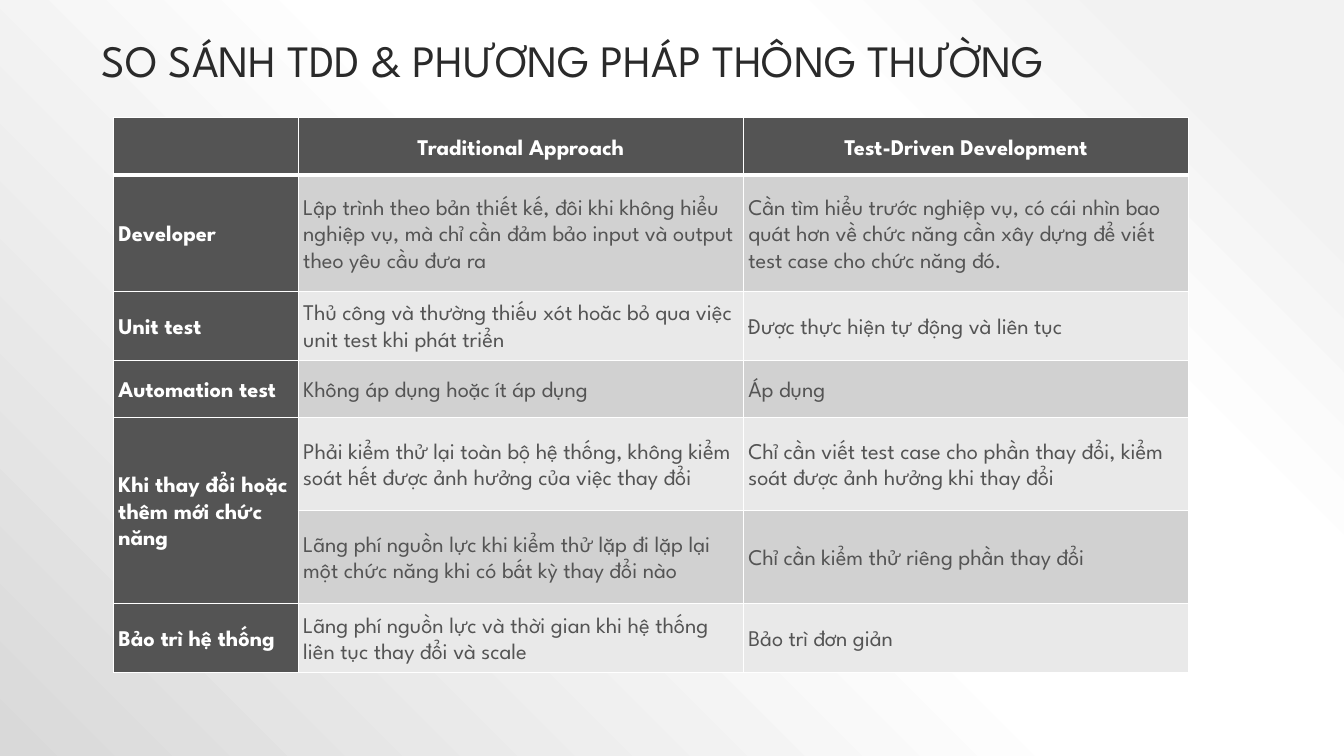
import pptx
import pptx.dml.color
import pptx.enum.text
import pptx.oxml
import pptx.oxml.ns
import pptx.util

Pt = pptx.util.Pt
ALIGN = pptx.enum.text.PP_ALIGN
ANCHOR = pptx.enum.text.MSO_ANCHOR
NAMESPACE = pptx.oxml.ns.nsdecls("a")

DARK, WHITE, INK = "545454", "FFFFFF", "2A2A2A"
BANDS = ("E9E9E9", "D1D1D1")
COLUMN_WIDTHS = (132, 318, 318)
ROW_HEIGHTS = (41, 82.8, 49.4, 41, 66.4, 66.4, 49.4)
ROWS = (
    ("", "Traditional Approach", "Test-Driven Development"),
    ("Developer",
     "Lập trình theo bản thiết kế, đôi khi không hiểu nghiệp vụ, mà chỉ cần đảm bảo input và output theo yêu cầu đưa ra",
     "Cần tìm hiểu trước nghiệp vụ, có cái nhìn bao quát hơn về chức năng cần xây dựng để viết test case cho chức năng đó."),
    ("Unit test",
     "Thủ công và thường thiếu xót hoăc bỏ qua việc unit test khi phát triển",
     "Được thực hiện tự động và liên tục"),
    ("Automation test", "Không áp dụng hoặc ít áp dụng", "Áp dụng"),
    ("Khi thay đổi hoặc thêm mới chức năng",
     "Phải kiểm thử lại toàn bộ hệ thống, không kiểm soát hết được ảnh hưởng của việc thay đổi",
     "Chỉ cần viết test case cho phần thay đổi, kiểm soát được ảnh hưởng khi thay đổi"),
    ("",
     "Lãng phí nguồn lực khi kiểm thử lặp đi lặp lại một chức năng khi có bất kỳ thay đổi nào",
     "Chỉ cần kiểm thử riêng phần thay đổi"),
    ("Bảo trì hệ thống",
     "Lãng phí nguồn lực và thời gian khi hệ thống liên tục thay đổi và scale",
     "Bảo trì đơn giản"),
)


def color(value):
    return pptx.dml.color.RGBColor.from_string(value)


class SlideBuilder:
    font = "League Spartan"

    def __init__(self, slide):
        self.slide = slide

    def background(self, stops):
        """Fill the slide with a circular gradient centred on the top right corner."""
        self.slide.background.fill.gradient()
        old = self.slide.element.find(".//" + pptx.oxml.ns.qn("a:gradFill"))
        marks = "".join(
            f'<a:gs pos="{percent * 1000}"><a:srgbClr val="{value}"/></a:gs>'
            for percent, value in stops)
        new = pptx.oxml.parse_xml(
            f'<a:gradFill {NAMESPACE} rotWithShape="1"><a:gsLst>{marks}</a:gsLst>'
            '<a:path path="circle"><a:fillToRect l="100000" b="100000"/></a:path>'
            '</a:gradFill>')
        old.getparent().replace(old, new)

    def add_text(self, para, text, size, ink, bold=False, align=ALIGN.LEFT, spacing=1.0):
        para.alignment = align
        para.line_spacing = spacing
        span = para.add_run()
        span.text = text
        span.font.name = self.font
        span.font.size = Pt(size)
        span.font.bold = bold
        span.font.color.rgb = color(ink)

    def title(self, text, left, top, width, height):
        box = self.slide.shapes.title
        box.left, box.top, box.width, box.height = map(Pt, (left, top, width, height))
        frame = box.text_frame
        frame.word_wrap = True
        frame.auto_size = pptx.enum.text.MSO_AUTO_SIZE.NONE
        frame.vertical_anchor = ANCHOR.BOTTOM
        self.add_text(frame.paragraphs[0], text, 32, INK, spacing=0.9)

    def borders(self, cell, top, bottom):
        properties = cell._tc.get_or_add_tcPr()
        widths = {"L": 1, "R": 1, "T": top, "B": bottom}
        for index, (side, width) in enumerate(widths.items()):
            properties.insert(index, pptx.oxml.parse_xml(
                f'<a:ln{side} {NAMESPACE} w="{Pt(width)}"><a:solidFill>'
                f'<a:srgbClr val="{WHITE}"/></a:solidFill></a:ln{side}>'))

    def cell(self, cell, text, row, column):
        heading = row == 0 or column == 0
        cell.fill.solid()
        cell.fill.fore_color.rgb = color(DARK if heading else BANDS[row % 2])
        self.borders(cell, 3 if row == 1 else 1, 3 if row == 0 else 1)
        cell.margin_left = cell.margin_right = Pt(3.6)
        cell.margin_top = cell.margin_bottom = 0
        cell.vertical_anchor = ANCHOR.MIDDLE
        if text:
            self.add_text(cell.text_frame.paragraphs[0], text, 16,
                          WHITE if heading else DARK, heading,
                          ALIGN.CENTER if row == 0 else ALIGN.LEFT, 1.3)

    def table(self, rows, left, top, widths, heights):
        table = self.slide.shapes.add_table(
            len(rows), len(widths), Pt(left), Pt(top),
            Pt(sum(widths)), Pt(sum(heights))).table
        for column, width in zip(table.columns, widths):
            column.width = Pt(width)
        for table_row, height in zip(table.rows, heights):
            table_row.height = Pt(height)
        for row, texts in enumerate(rows):
            for column, text in enumerate(texts):
                self.cell(table.cell(row, column), text, row, column)
        return table


def main():
    deck = pptx.Presentation()
    deck.slide_width, deck.slide_height = Pt(960), Pt(540)
    builder = SlideBuilder(deck.slides.add_slide(deck.slide_layouts[5]))
    builder.background(((10, "F2F2F2"), (28, WHITE), (48, WHITE), (100, "D9D9D9")))
    builder.title("SO SÁNH TDD & PHƯƠNG PHÁP THÔNG THƯỜNG", 65.5, 18, 798, 48)
    comparison = builder.table(ROWS, 81, 84.2, COLUMN_WIDTHS, ROW_HEIGHTS)
    comparison.cell(4, 0).merge(comparison.cell(5, 0))
    deck.save("out.pptx")


if __name__ == "__main__":
    main()
